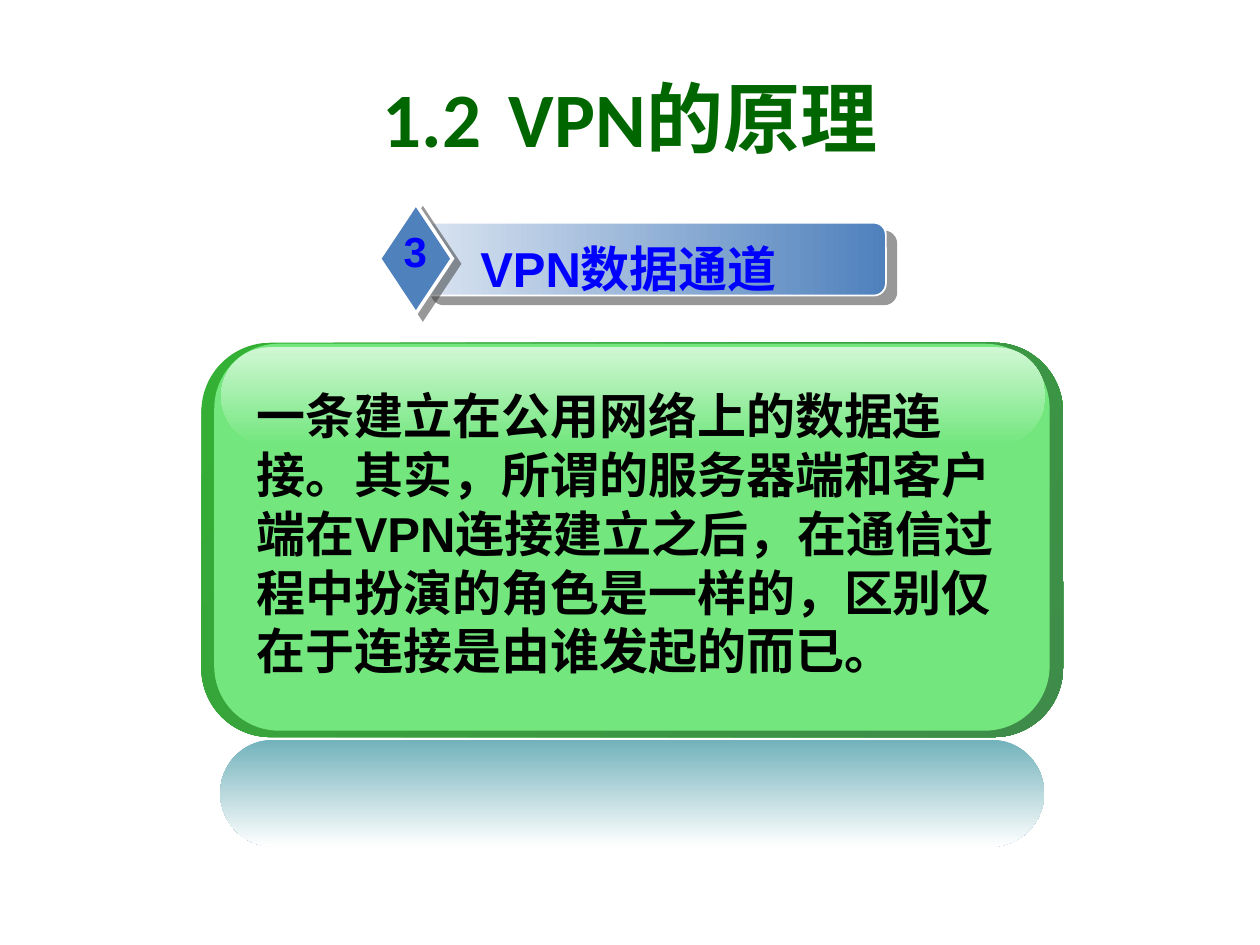
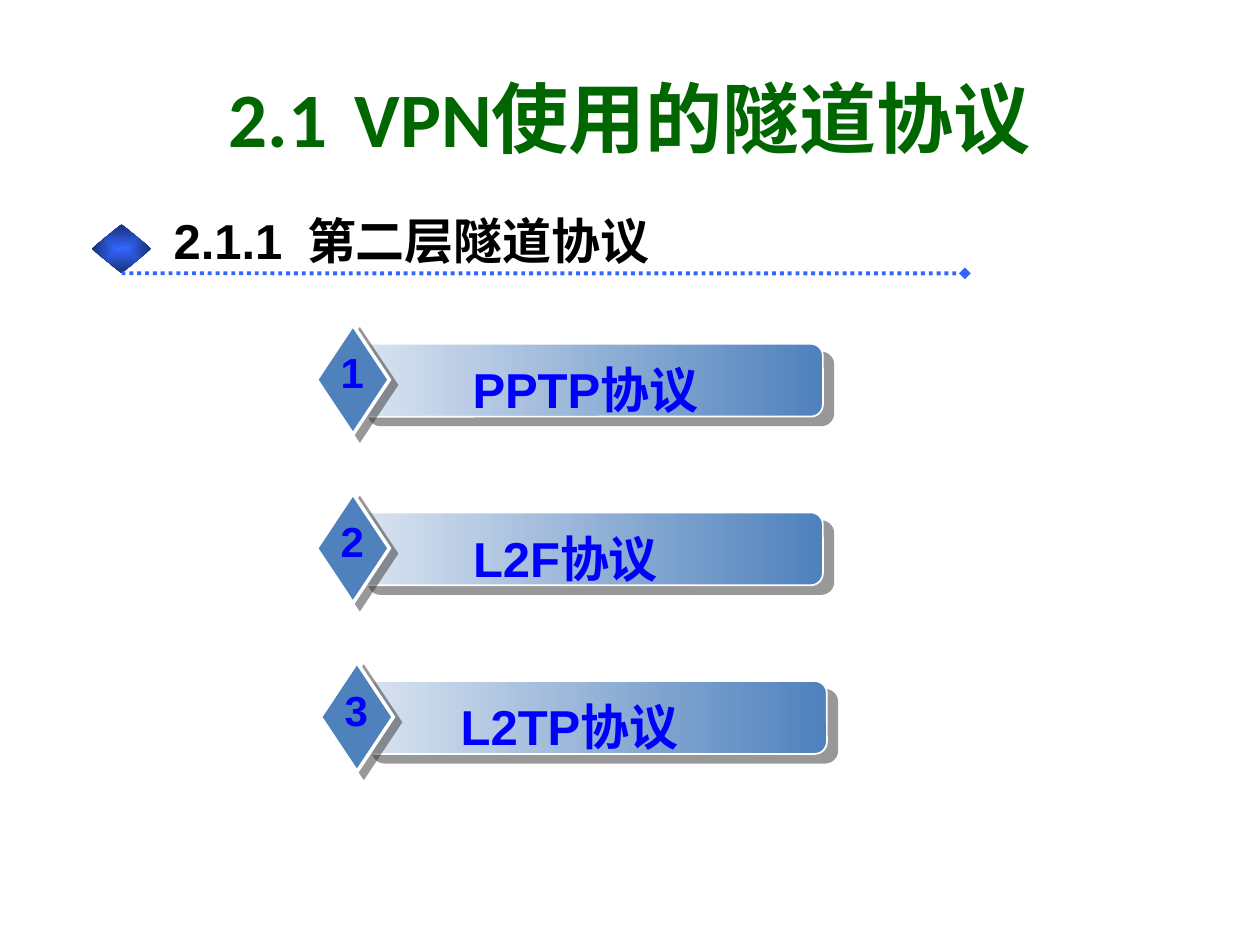
"""Build two slides on the VPN data channel and layer-two tunnelling protocols."""
from lxml import etree
from pptx import Presentation
from pptx import util as u
from pptx.dml.color import RGBColor
from pptx.enum import dml, shapes, text
from pptx.oxml import ns

TITLE_GREEN = RGBColor(0x00, 0x66, 0x00)
LABEL_BLUE = RGBColor(0x00, 0x00, 0xFF)
BANNER_BLUE = RGBColor(0x4F, 0x81, 0xBD)
BANNER_PALE = RGBColor(0xDA, 0xE4, 0xF1)
RULE_BLUE = RGBColor(0x33, 0x66, 0xFF)
RULE_NAVY = RGBColor(0x18, 0x2F, 0x76)
PANEL_GREEN = RGBColor(0x73, 0xE7, 0x7E)
PANEL_PALE = RGBColor(0xD0, 0xF7, 0xD4)
EDGE_LIGHT = RGBColor(0x34, 0xB0, 0x34)
EDGE_DARK = RGBColor(0x3F, 0x8B, 0x4A)
REFLECTION_TEAL = RGBColor(0x72, 0xB2, 0xBB)
SHADOW_GREY = RGBColor(0x33, 0x33, 0x33)
BLACK = RGBColor(0, 0, 0)
WHITE = RGBColor(0xFF, 0xFF, 0xFF)

ROUNDED = shapes.MSO_SHAPE.ROUNDED_RECTANGLE
LEFT, CENTER = text.PP_ALIGN.LEFT, text.PP_ALIGN.CENTER


def add_block(slide, preset, box, colours, angle=0, corner=None, border=0, shadow=None):
    """Add a shape with a solid or two-colour fill; shadow is (points, degrees)."""
    block = slide.shapes.add_shape(preset, *map(u.Cm, box))
    if corner is not None:
        block.adjustments[0] = corner
    if len(colours) == 1:
        block.fill.solid()
        block.fill.fore_color.rgb = colours[0]
    else:
        block.fill.gradient()
        block.fill.gradient_angle = angle
        for stop, colour, position in zip(block.fill.gradient_stops, colours, (0, 1)):
            stop.color.rgb = colour
            stop.position = position
    if border:
        block.line.color.rgb = WHITE
        block.line.width = u.Pt(border)
        etree.SubElement(block.line._ln, ns.qn("a:miter"), lim="800000")
    else:
        block.line.fill.background()
    block.shadow.inherit = False
    if shadow:
        distance, direction = shadow
        effects = block._element.spPr.find(ns.qn("a:effectLst"))
        outer = etree.SubElement(effects, ns.qn("a:outerShdw"), blurRad="0",
                                 dist=str(u.Pt(distance)), dir=str(direction * 60000),
                                 algn="ctr", rotWithShape="0")
        tint = etree.SubElement(outer, ns.qn("a:srgbClr"), val=str(SHADOW_GREY))
        etree.SubElement(tint, ns.qn("a:alpha"), val="50000")
    return block


def write(holder, content, size, colour, align, font="Arial", tabs=(), wrap=True, indent=0):
    """Fill a text holder with one bold paragraph."""
    frame = holder.text_frame
    frame.word_wrap = wrap
    frame.text = content
    paragraph = frame.paragraphs[0]
    paragraph.alignment = align
    properties = paragraph._p.get_or_add_pPr()
    properties.set("hangingPunct", "0")
    if indent:
        properties.set("marL", str(u.Cm(indent)))
        properties.set("indent", "0")
    if tabs:
        stops = etree.SubElement(properties, ns.qn("a:tabLst"))
        for tab in tabs:
            etree.SubElement(stops, ns.qn("a:tab"), pos=str(u.Cm(tab)), algn="l")
    for run in paragraph.runs:
        run.font.name = font
        run.font.size = u.Pt(size)
        run.font.bold = True
        run.font.color.rgb = colour


deck = Presentation()
deck.slide_width, deck.slide_height = u.Cm(25.4), u.Cm(19.05)

pages = []
for heading in ("1.2\tVPN的原理", "2.1\tVPN使用的隧道协议"):
    page = deck.slides.add_slide(deck.slide_layouts[5])
    title = page.shapes.title
    title.left, title.top, title.width, title.height = map(u.Cm, (1.27, 0.76, 22.86, 3.18))
    title.text_frame.vertical_anchor = text.MSO_ANCHOR.MIDDLE
    write(title, heading, 44, TITLE_GREEN, CENTER, "Calibri",
          tabs=[2.54 * step for step in range(8)])
    pages.append(page)
principle, protocols = pages

panel_layers = (
    ((4.06, 6.91, 17.37, 7.95), (EDGE_LIGHT, EDGE_DARK), 315, 0.175),
    ((4.32, 6.93, 16.84, 7.8), (PANEL_GREEN,), 0, 0.167),
    ((4.46, 7.0, 16.61, 1.96), (PANEL_PALE, PANEL_GREEN), 270, 0.5),
    ((4.44, 14.91, 16.61, 2.16), (REFLECTION_TEAL, WHITE), 270, 0.5),
)
for box, colours, angle, corner in panel_layers:
    add_block(principle, ROUNDED, box, colours, angle, corner)
explanation = principle.shapes.add_textbox(*map(u.Cm, (4.93, 7.65, 15.7, 6.2)))
write(explanation,
      "一条建立在公用网络上的数据连接。其实，所谓的服务器端和客户端在VPN连接建立之后，"
      "在通信过程中扮演的角色是一样的，区别仅在于连接是由谁发起的而已。",
      28, BLACK, LEFT)

section_marker = add_block(protocols, shapes.MSO_SHAPE.FLOWCHART_DECISION,
                           (1.85, 4.52, 1.2, 0.99), (RULE_BLUE, RULE_NAVY))
gradient = section_marker._element.spPr.find(ns.qn("a:gradFill"))
gradient.remove(gradient.find(ns.qn("a:lin")))
glow = etree.SubElement(gradient, ns.qn("a:path"), path="rect")
etree.SubElement(glow, ns.qn("a:fillToRect"), l="50000", t="50000", r="50000", b="50000")

section_rule = protocols.shapes.add_connector(
    shapes.MSO_CONNECTOR.STRAIGHT, *map(u.Cm, (2.45, 5.51, 19.45, 5.51)))
section_rule.begin_connect(section_marker, 2)
section_rule.line.color.rgb = RULE_BLUE
section_rule.line.width = u.Pt(2.25)
section_rule.line.dash_style = dml.MSO_LINE.ROUND_DOT
etree.SubElement(section_rule.line._ln, ns.qn("a:tailEnd"), type="diamond")
etree.SubElement(section_rule._element.spPr, ns.qn("a:effectLst"))

section_name = protocols.shapes.add_textbox(*map(u.Cm, (3.25, 4.11, 16.2, 1.45)))
write(section_name, "2.1.1\t第二层隧道协议", 28, BLACK, LEFT, tabs=[2.69])

first_top, pitch = 6.55, 3.4
banners = (
    (principle, "3", "VPN数据通道", 7.65, 4.11, 0),
    (protocols, "1", "PPTP协议", 6.38, first_top, 0.8),
    (protocols, "2", "L2F协议", 6.38, first_top + pitch, 0),
    (protocols, "3", "L2TP协议", 6.46, first_top + 2 * pitch, 0),
)
for page, number, name, left, top, indent in banners:
    add_block(page, ROUNDED, (left + 0.84, top + 0.38, 9.37, 1.47),
              (BANNER_PALE, BANNER_BLUE), corner=0.167, border=1, shadow=(7.8, 40))
    add_block(page, shapes.MSO_SHAPE.DIAMOND, (left, top, 1.47, 2.21),
              (BANNER_BLUE,), border=2, shadow=(5, 37))
    banner_name = page.shapes.add_textbox(
        *map(u.Cm, (left + 1.32, top + 0.57, 7.4, 1.45)))
    write(banner_name, name, 28, LABEL_BLUE, CENTER, indent=indent)
    banner_number = page.shapes.add_textbox(
        *map(u.Cm, (left + 0.24, top + 0.32, 0.97, 1.27)))
    write(banner_number, number, 24, LABEL_BLUE, CENTER, wrap=False)

deck.save("out.pptx")
